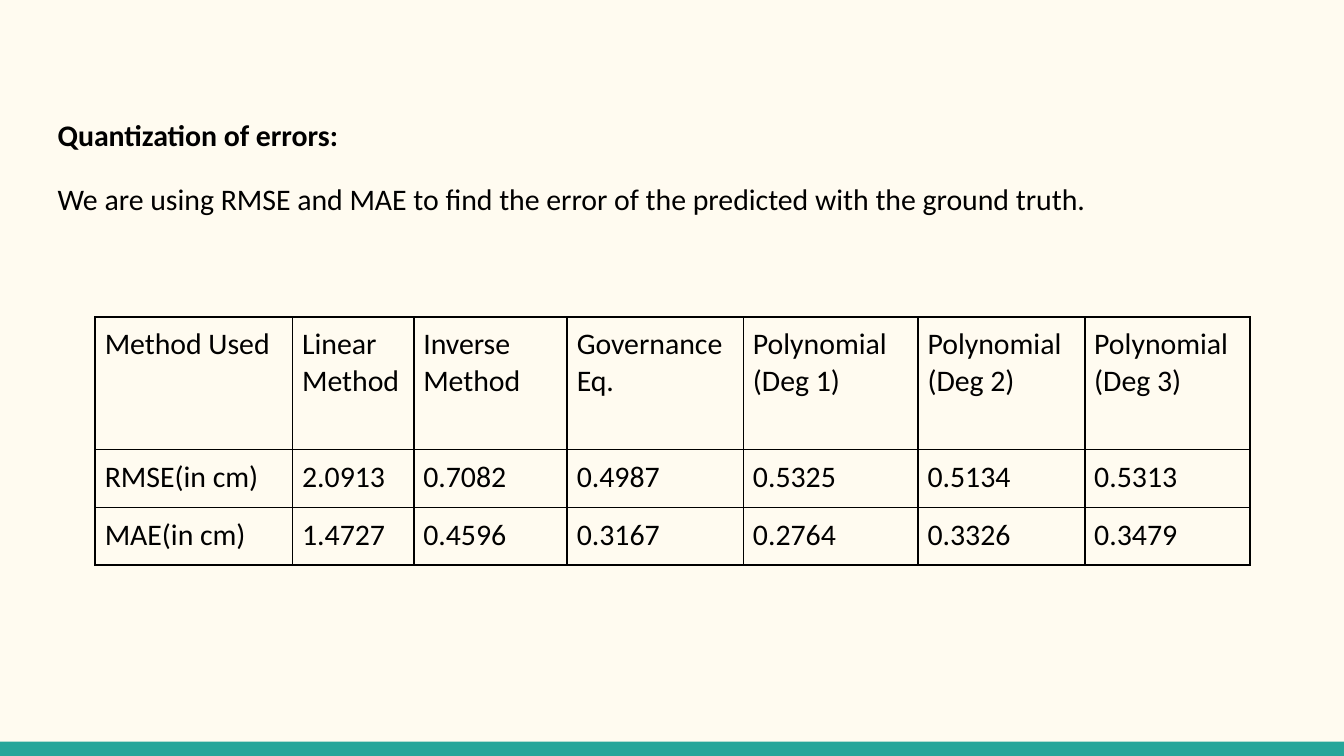
"""Build the slide that compares RMSE and MAE across the fitting methods."""
import pptx
import pptx.dml.color
import pptx.enum.shapes
import pptx.enum.text
import pptx.oxml
import pptx.oxml.ns
import pptx.util

Cm = pptx.util.Cm
Pt = pptx.util.Pt
RGBColor = pptx.dml.color.RGBColor

CREAM = RGBColor(0xFF, 0xFB, 0xF0)
TEAL = RGBColor(0x26, 0xA6, 0x9A)
BLACK = RGBColor(0x00, 0x00, 0x00)

COL_WIDTHS = [3.73, 2.29, 2.9, 3.33, 3.3, 3.15, 3.12]
ROW_HEIGHTS = [2.51, 1.09, 1.09]
ROWS = [
    ["Method Used", "Linear Method", "Inverse Method", "Governance Eq.",
     "Polynomial (Deg 1)", "Polynomial (Deg 2)", "Polynomial (Deg 3)"],
    ["RMSE(in cm)", "2.0913", "0.7082", "0.4987", "0.5325", "0.5134", "0.5313"],
    ["MAE(in cm)", "1.4727", "0.4596", "0.3167", "0.2764", "0.3326", "0.3479"],
]


def add_run(p, text, bold=False):
    r = p.add_run()
    r.text = text
    r.font.name = "Calibri"
    r.font.size = Pt(16)
    r.font.bold = bold
    r.font.color.rgb = BLACK


def add_borders(cell):
    tcPr = cell._tc.get_or_add_tcPr()
    for i, side in enumerate(["lnL", "lnR", "lnT", "lnB"]):
        tcPr.insert(i, pptx.oxml.parse_xml(
            f'<a:{side} {pptx.oxml.ns.nsdecls("a")} w="{Pt(1)}"><a:solidFill>'
            f'<a:srgbClr val="{BLACK}"/></a:solidFill></a:{side}>'))


prs = pptx.Presentation()
prs.slide_width = Cm(25.4)
prs.slide_height = Cm(14.29)
s = prs.slides.add_slide(prs.slide_layouts[6])
s.background.fill.solid()
s.background.fill.fore_color.rgb = CREAM

bar = s.shapes.add_shape(pptx.enum.shapes.MSO_SHAPE.RECTANGLE,
                         Cm(0), Cm(14.02), Cm(25.4), Cm(0.27))
bar.shadow.inherit = False
bar.fill.solid()
bar.fill.fore_color.rgb = TEAL
bar.line.fill.background()

table = s.shapes.add_table(len(ROWS), len(COL_WIDTHS), Cm(1.8), Cm(5.99),
                           Cm(sum(COL_WIDTHS)), Cm(sum(ROW_HEIGHTS))).table
table.first_row = False
table.horz_banding = False
for col, width in zip(table.columns, COL_WIDTHS):
    col.width = Cm(width)
for row, height, texts in zip(table.rows, ROW_HEIGHTS, ROWS):
    row.height = Cm(height)
    for cell, text in zip(row.cells, texts):
        cell.margin_left = cell.margin_right = Cm(0.18)
        cell.margin_top = cell.margin_bottom = Cm(0.18)
        cell.fill.background()
        add_borders(cell)
        add_run(cell.text_frame.paragraphs[0], text)

sp = s.shapes.add_textbox(Cm(0.84), Cm(1.45), Cm(23.24), Cm(3.3))
tf = sp.text_frame
tf.word_wrap = True
tf.vertical_anchor = pptx.enum.text.MSO_ANCHOR.MIDDLE
tf.margin_left = tf.margin_right = tf.margin_top = tf.margin_bottom = Cm(0.25)
p = tf.paragraphs[0]
p.line_spacing = 1.15
add_run(p, "Quantization of errors:", bold=True)
p = tf.add_paragraph()
p.line_spacing = 1.15
p.space_before = p.space_after = Pt(12)
add_run(p, "We are using RMSE and MAE to find the error of the predicted "
           "with the ground truth.")

prs.save("out.pptx")
